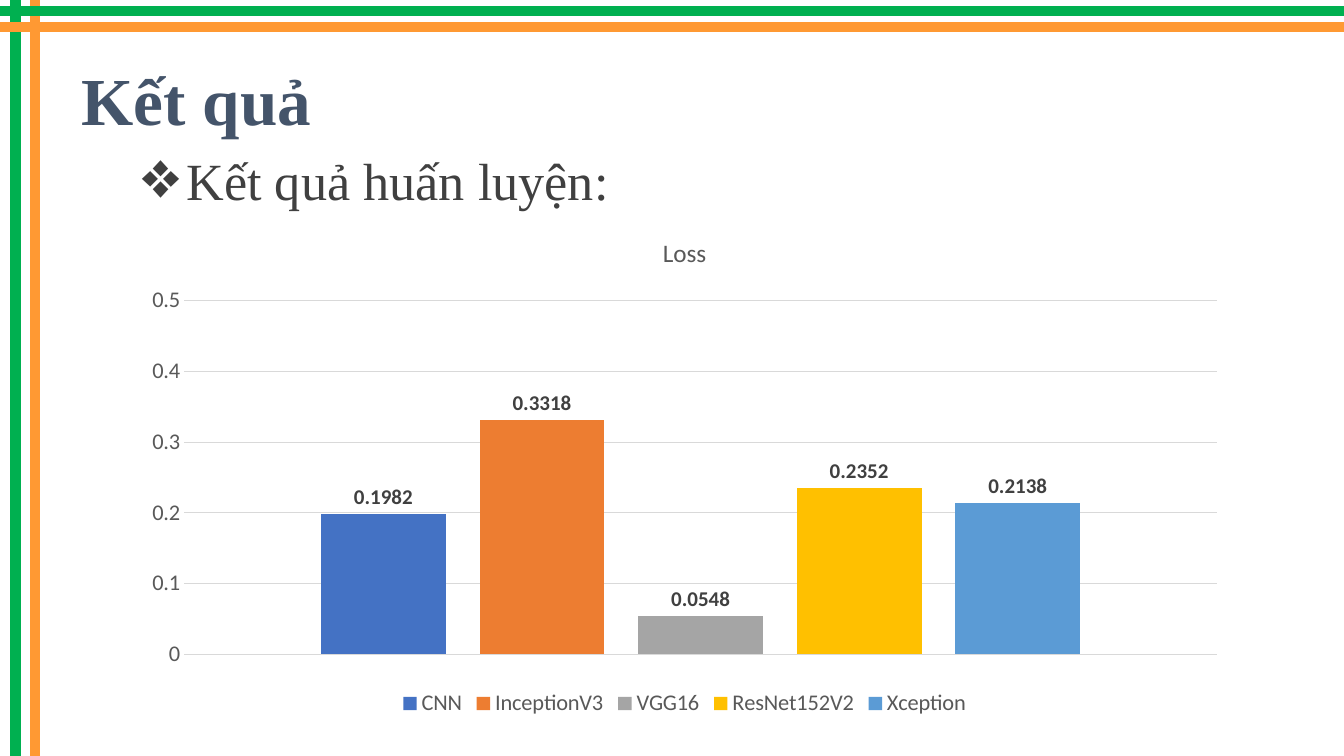
from dataclasses import dataclass

from lxml import etree
from pptx import Presentation
from pptx import util as u
from pptx.chart.data import CategoryChartData
from pptx.dml.color import RGBColor
from pptx.enum import chart as ch, shapes, text
from pptx.oxml import ns


@dataclass(frozen=True)
class Theme:
    heading_font: str = "Times New Roman"
    chart_font: str = "Calibri"
    title: str = "44546A"
    body: str = "404040"
    muted: str = "595959"
    grid: str = "D9D9D9"
    green: str = "00B050"
    orange: str = "FF9933"
    title_size: float = 48
    body_size: float = 37.3
    chart_title_size: float = 18
    axis_size: float = 16
    label_size: float = 15


THEME = Theme()
WIDTH, HEIGHT = 13.33, 7.5
LOSSES = [
    ("CNN", 0.1982, "4472C4"),
    ("InceptionV3", 0.3318, "ED7D31"),
    ("VGG16", 0.0548, "A5A5A5"),
    ("ResNet152V2", 0.2352, "FFC000"),
    ("Xception", 0.2138, "5B9BD5"),
]


def rgb(value):
    return RGBColor.from_string(value)


def style_font(font, name, size, color, bold=False):
    font.name = name
    font.size = u.Pt(size)
    font.color.rgb = rgb(color)
    font.bold = bold


def fill_placeholder(sp, box, content, size, color, bold=False):
    sp.left, sp.top, sp.width, sp.height = map(u.Inches, box)
    tf = sp.text_frame
    tf.word_wrap = True
    tf.auto_size = text.MSO_AUTO_SIZE.NONE
    tf.vertical_anchor = text.MSO_ANCHOR.MIDDLE
    p = tf.paragraphs[0]
    p.alignment = text.PP_ALIGN.LEFT
    p.space_before = u.Pt(0)
    r = p.add_run()
    r.text = content
    style_font(r.font, THEME.heading_font, size, color, bold)
    return p


def set_bullet(p, char, indent):
    pPr = p._p.get_or_add_pPr()
    pPr.set("marL", str(u.Inches(indent)))
    pPr.set("indent", str(-u.Inches(indent)))
    etree.SubElement(pPr, ns.qn("a:buFont"), typeface=THEME.heading_font)
    etree.SubElement(pPr, ns.qn("a:buChar"), char=char)


def add_stripe(s, box, color):
    sp = s.shapes.add_shape(shapes.MSO_SHAPE.RECTANGLE, *map(u.Inches, box))
    sp.shadow.inherit = False
    sp.fill.solid()
    sp.fill.fore_color.rgb = rgb(color)
    sp.line.color.rgb = rgb(color)
    sp.line.width = u.Pt(1)


def style_value_axis(axis):
    axis.minimum_scale, axis.maximum_scale, axis.major_unit = 0, 0.5, 0.1
    axis.major_tick_mark = axis.minor_tick_mark = ch.XL_TICK_MARK.NONE
    axis.format.line.fill.background()
    axis.tick_labels.number_format = "General"
    axis.tick_labels.number_format_is_linked = False
    style_font(axis.tick_labels.font, THEME.chart_font, THEME.axis_size, THEME.muted)
    axis.has_major_gridlines = True
    grid = axis.major_gridlines.format.line
    grid.color.rgb = rgb(THEME.grid)
    grid.width = u.Pt(0.75)


def style_series(series, color):
    series.format.fill.solid()
    series.format.fill.fore_color.rgb = rgb(color)
    labels = series.data_labels
    labels.show_value = True
    labels.position = ch.XL_LABEL_POSITION.OUTSIDE_END
    style_font(labels.font, THEME.chart_font, THEME.label_size, THEME.body, True)


def add_loss_chart(s, box):
    data = CategoryChartData()
    data.categories = ["1"]
    for name, loss, _ in LOSSES:
        data.add_series(name, [loss])
    chart = s.shapes.add_chart(
        ch.XL_CHART_TYPE.COLUMN_CLUSTERED, *map(u.Inches, box), data).chart
    chart.font.name = THEME.chart_font

    chart.has_title = True
    r = chart.chart_title.text_frame.paragraphs[0].add_run()
    r.text = "Loss"
    style_font(r.font, THEME.chart_font, THEME.chart_title_size, THEME.muted)
    chart.chart_title.include_in_layout = False

    chart.has_legend = True
    chart.legend.position = ch.XL_LEGEND_POSITION.BOTTOM
    chart.legend.include_in_layout = False
    style_font(chart.legend.font, THEME.chart_font, THEME.axis_size, THEME.muted)

    chart.category_axis.visible = False
    style_value_axis(chart.value_axis)
    plot = chart.plots[0]
    plot.vary_by_categories = False
    plot.gap_width, plot.overlap = 219, -27
    for series, (_, _, color) in zip(plot.series, LOSSES):
        style_series(series, color)


def main():
    prs = Presentation()
    prs.slide_width, prs.slide_height = u.Inches(WIDTH), u.Inches(HEIGHT)
    s = prs.slides.add_slide(prs.slide_layouts[1])

    p = fill_placeholder(s.shapes.title, (0.71, 0.61, 5.49, 0.83), "Kết quả",
                         THEME.title_size, THEME.title, True)
    p.line_spacing = 0.9
    p = fill_placeholder(s.placeholders[1], (1.29, 1.42, 5.05, 0.73),
                         "Kết quả huấn luyện:", THEME.body_size, THEME.body)
    set_bullet(p, "❖", 0.46)

    for x, color in ((0.11, THEME.green), (0.3, THEME.orange)):
        add_stripe(s, (x, 0, 0.09, HEIGHT), color)
    for y, color in ((0.07, THEME.green), (0.23, THEME.orange)):
        add_stripe(s, (0, y, WIDTH, 0.08), color)

    add_loss_chart(s, (1.29, 2.14, 11, 5.02))
    prs.save("out.pptx")


if __name__ == "__main__":
    main()
